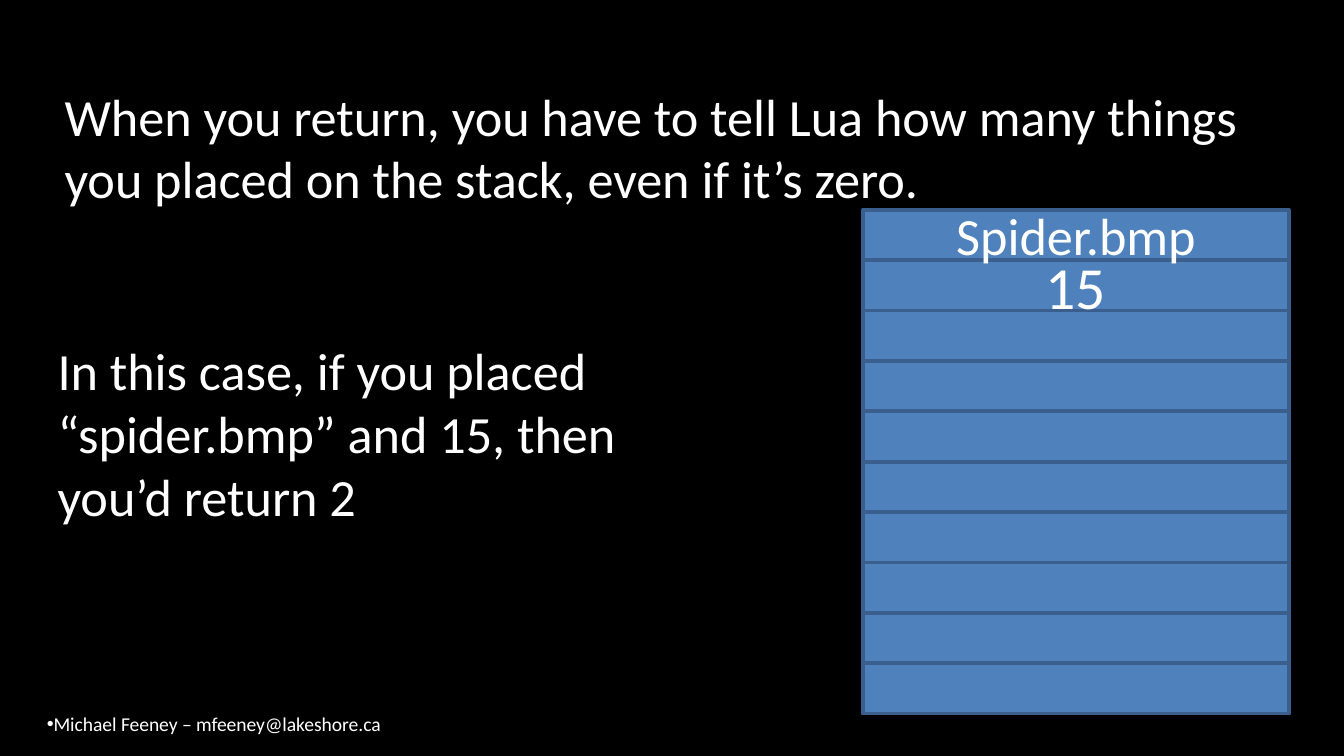
from lxml import etree
from pptx import Presentation
from pptx.dml.color import RGBColor
from pptx.enum.shapes import MSO_SHAPE as Shape
from pptx.enum.text import MSO_ANCHOR as Anchor, MSO_AUTO_SIZE as AutoSize, PP_ALIGN as Align
from pptx.oxml.ns import qn
from pptx.util import Inches, Pt


def color(value):
    return RGBColor.from_string(value)


def write(shape, text, size=28, align=Align.LEFT, anchor=Anchor.MIDDLE, bullet=None):
    frame = shape.text_frame
    frame.word_wrap = True
    frame.auto_size = AutoSize.NONE
    frame.vertical_anchor = anchor
    paragraph = frame.paragraphs[0]
    paragraph.alignment = align
    if bullet:
        properties = paragraph._p.get_or_add_pPr()
        etree.SubElement(properties, qn("a:buFont"), typeface="Arial")
        etree.SubElement(properties, qn("a:buChar"), char=bullet)
    run = paragraph.add_run()
    run.text = text
    run.font.size = Pt(size)
    run.font.name = "Calibri"
    run.font.color.rgb = color("FFFFFF")


presentation = Presentation()
presentation.slide_width = Inches(10)
presentation.slide_height = Inches(5.625)
slide = presentation.slides.add_slide(presentation.slide_layouts[5])
slide.background.fill.solid()
slide.background.fill.fore_color.rgb = color("000000")

# Footer
footer = slide.shapes.add_textbox(Inches(0.25), Inches(5.25), Inches(7.92), Inches(0.29))
write(footer, "Michael Feeney – mfeeney@lakeshore.ca", size=10.5, anchor=Anchor.TOP, bullet="•")

# Title
title = slide.shapes.title
title.left, title.top = Inches(0.38), Inches(0.37)
title.width, title.height = Inches(9.12), Inches(1.44)
write(title, "When you return, you have to tell Lua how many things "
             "you placed on the stack, even if it’s zero.")

# Stack, built from the bottom slot up to the top one
slot_count = 10
slot_height = 3.75 / slot_count
stack_top = 1.56
stack_values = {0: ("Spider.bmp", 28), 1: ("15", 32)}
for index in reversed(range(slot_count)):
    slot = slide.shapes.add_shape(
        Shape.RECTANGLE, Inches(6.42), Inches(stack_top + index * slot_height),
        Inches(3.17), Inches(slot_height))
    slot.shadow.inherit = False
    slot.fill.solid()
    slot.fill.fore_color.rgb = color("4F81BD")
    slot.line.color.rgb = color("3A5F8C")
    slot.line.width = Pt(2)
    if index in stack_values:
        value, size = stack_values[index]
        write(slot, value, size=size, align=Align.CENTER)

# Example
example = slide.shapes.add_textbox(Inches(0.33), Inches(2.21), Inches(5.17), Inches(2.02))
write(example, "In this case, if you placed “spider.bmp” and 15, then you’d return 2")

presentation.save("out.pptx")
